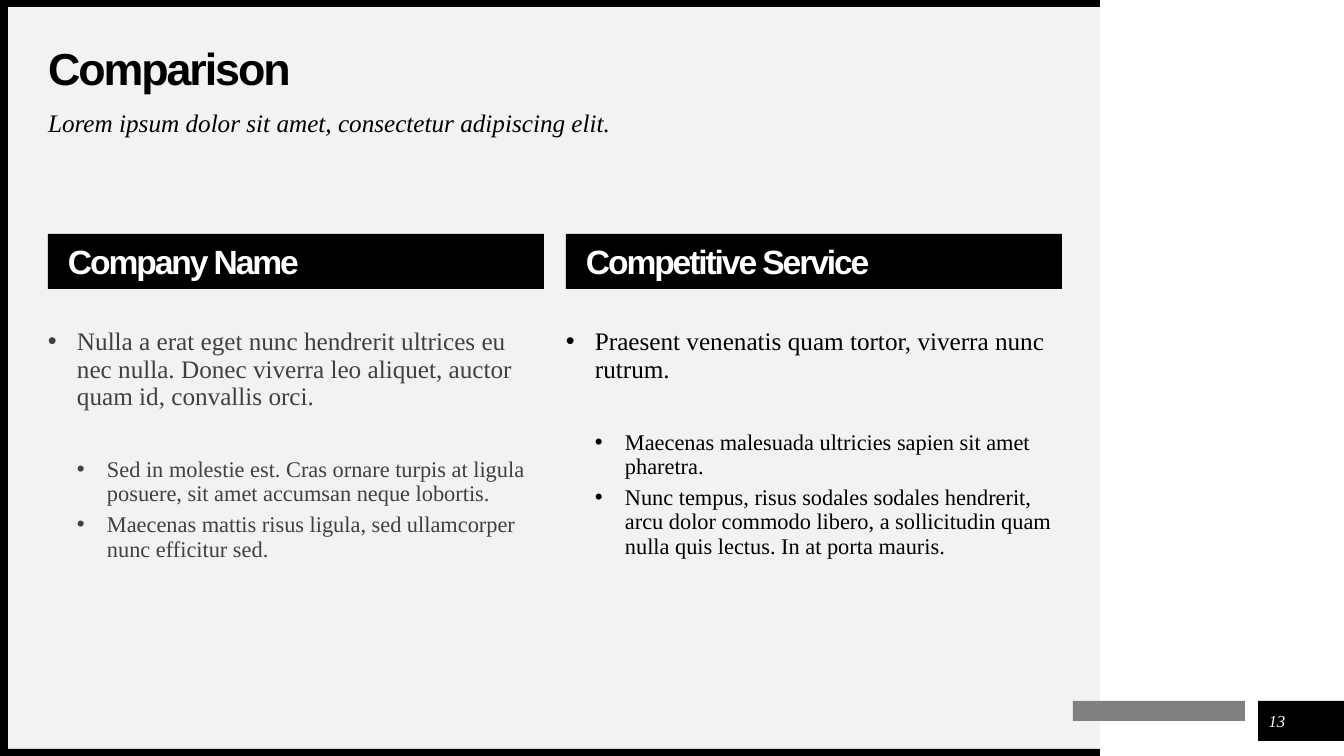
from lxml.etree import SubElement
from pptx import Presentation
from pptx.dml.color import RGBColor
from pptx.enum.shapes import MSO_SHAPE
from pptx.enum.text import MSO_ANCHOR, PP_ALIGN
from pptx.oxml.ns import qn
from pptx.util import Pt

EMU_PER_PX = 914400 / 100.8
SLIDE_W, SLIDE_H = 1344, 756
FRAME = 7
PANEL_W = 1100
MARGIN = 48
COLUMN_W, COLUMN_STEP = 496, 518

BLACK = RGBColor(0x00, 0x00, 0x00)
WHITE = RGBColor(0xFF, 0xFF, 0xFF)
PANEL_GREY = RGBColor(0xF2, 0xF2, 0xF2)
MARK_GREY = RGBColor(0x80, 0x80, 0x80)
TEXT_GREY = RGBColor(0x40, 0x40, 0x40)

HEADING_FONT, BODY_FONT = "Arial", "Times New Roman"

COLUMNS = [
    ("Company Name", TEXT_GREY, [
        (0, "Nulla a erat eget nunc hendrerit ultrices eu nec nulla. "
            "Donec viverra leo aliquet, auctor quam id, convallis orci."),
        (1, "Sed in molestie est. Cras ornare turpis at ligula posuere, "
            "sit amet accumsan neque lobortis."),
        (1, "Maecenas mattis risus ligula, sed ullamcorper nunc efficitur sed."),
    ]),
    ("Competitive Service", BLACK, [
        (0, "Praesent venenatis quam tortor, viverra nunc rutrum."),
        (1, "Maecenas malesuada ultricies sapien sit amet pharetra."),
        (1, "Nunc tempus, risus sodales sodales hendrerit, arcu dolor commodo "
            "libero, a sollicitudin quam nulla quis lectus. In at porta mauris."),
    ]),
]


def px(length):
    return round(length * EMU_PER_PX)


def add_block(slide, box, color):
    block = slide.shapes.add_shape(MSO_SHAPE.RECTANGLE, *map(px, box))
    block.shadow.inherit = False
    block.fill.solid()
    block.fill.fore_color.rgb = color
    block.line.fill.background()
    return block


def set_frame(shape, anchor=MSO_ANCHOR.TOP, left=0, top=0):
    """Set wrapping, anchor and insets, and return the text frame."""
    frame = shape.text_frame
    frame.word_wrap = True
    frame.vertical_anchor = anchor
    frame.margin_left, frame.margin_top = px(left), px(top)
    frame.margin_right = frame.margin_bottom = 0
    return frame


def add_text(slide, box, anchor=MSO_ANCHOR.TOP):
    return set_frame(slide.shapes.add_textbox(*map(px, box)), anchor)


def style(paragraph, name, size, color, bold=False, italic=False,
          tracking=0, spacing=0.9, align=PP_ALIGN.LEFT):
    paragraph.alignment = align
    paragraph.line_spacing = spacing
    font = paragraph.font
    font.name, font.size, font.bold, font.italic = name, Pt(size), bold, italic
    font.color.rgb = color
    if tracking:
        properties = paragraph._p.get_or_add_pPr().find(qn("a:defRPr"))
        properties.set("spc", str(round(tracking * 100)))


def add_bullet(paragraph, margin, hanging):
    properties = paragraph._p.get_or_add_pPr()
    properties.set("marL", str(px(margin)))
    properties.set("indent", str(-px(hanging)))
    SubElement(properties, qn("a:buFont"), typeface="Arial")
    SubElement(properties, qn("a:buChar"), char="•")


def draw_background(slide, width, height):
    add_block(slide, (FRAME, FRAME, width - FRAME, height - 2 * FRAME), PANEL_GREY)
    for top in (0, height - FRAME):
        add_block(slide, (0, top, width, FRAME), BLACK)
    add_block(slide, (0, 0, FRAME + 1, height), BLACK)


def draw_heading(slide, left, top, width):
    title = add_text(slide, (left, top, width, 47), MSO_ANCHOR.MIDDLE).paragraphs[0]
    title.text = "Comparison"
    style(title, HEADING_FONT, 32, BLACK, bold=True, tracking=-1.5)
    subtitle = add_text(slide, (left, top + 63, width, 39)).paragraphs[0]
    subtitle.text = "Lorem ipsum dolor sit amet, consectetur adipiscing elit."
    style(subtitle, BODY_FONT, 18, BLACK, italic=True)


def draw_column(slide, left, top, width, heading, color, points):
    banner = add_block(slide, (left, top, width, 55), BLACK)
    label = set_frame(banner, MSO_ANCHOR.MIDDLE, left=20, top=4).paragraphs[0]
    label.text = heading
    style(label, HEADING_FONT, 24, WHITE, bold=True, tracking=-1.5)

    body = add_text(slide, (left, top + 95, width, 278))
    previous_level = 0
    for index, (level, text) in enumerate(points):
        point = body.add_paragraph() if index else body.paragraphs[0]
        point.text = text
        point.level = level
        if index:
            point.space_before = Pt(34 if level > previous_level else 5)
        point.line_spacing = 0.9
        add_bullet(point, (29, 59)[level], (29, 30)[level])
        style(point, BODY_FONT, (18, 16)[level], color)
        previous_level = level


def draw_footer(slide, right, top):
    """Draw a plain block for the mark, then the page number."""
    add_block(slide, (right - 271, top, 172, 20), MARK_GREY)
    add_block(slide, (right - 86, top, 86, 40), BLACK)
    number = add_text(slide, (right - 82, top + 5, 30, 30),
                      MSO_ANCHOR.MIDDLE).paragraphs[0]
    number.text = "13"
    style(number, BODY_FONT, 12, WHITE, italic=True, spacing=1.0,
          align=PP_ALIGN.CENTER)


def main():
    deck = Presentation()
    deck.slide_width, deck.slide_height = px(SLIDE_W), px(SLIDE_H)
    slide = deck.slides.add_slide(deck.slide_layouts[6])
    draw_background(slide, PANEL_W, SLIDE_H)
    draw_footer(slide, SLIDE_W, 701)
    draw_heading(slide, MARGIN, 48, COLUMN_STEP + COLUMN_W)
    for index, column in enumerate(COLUMNS):
        draw_column(slide, MARGIN + index * COLUMN_STEP, 234, COLUMN_W, *column)
    deck.save("out.pptx")


if __name__ == "__main__":
    main()
